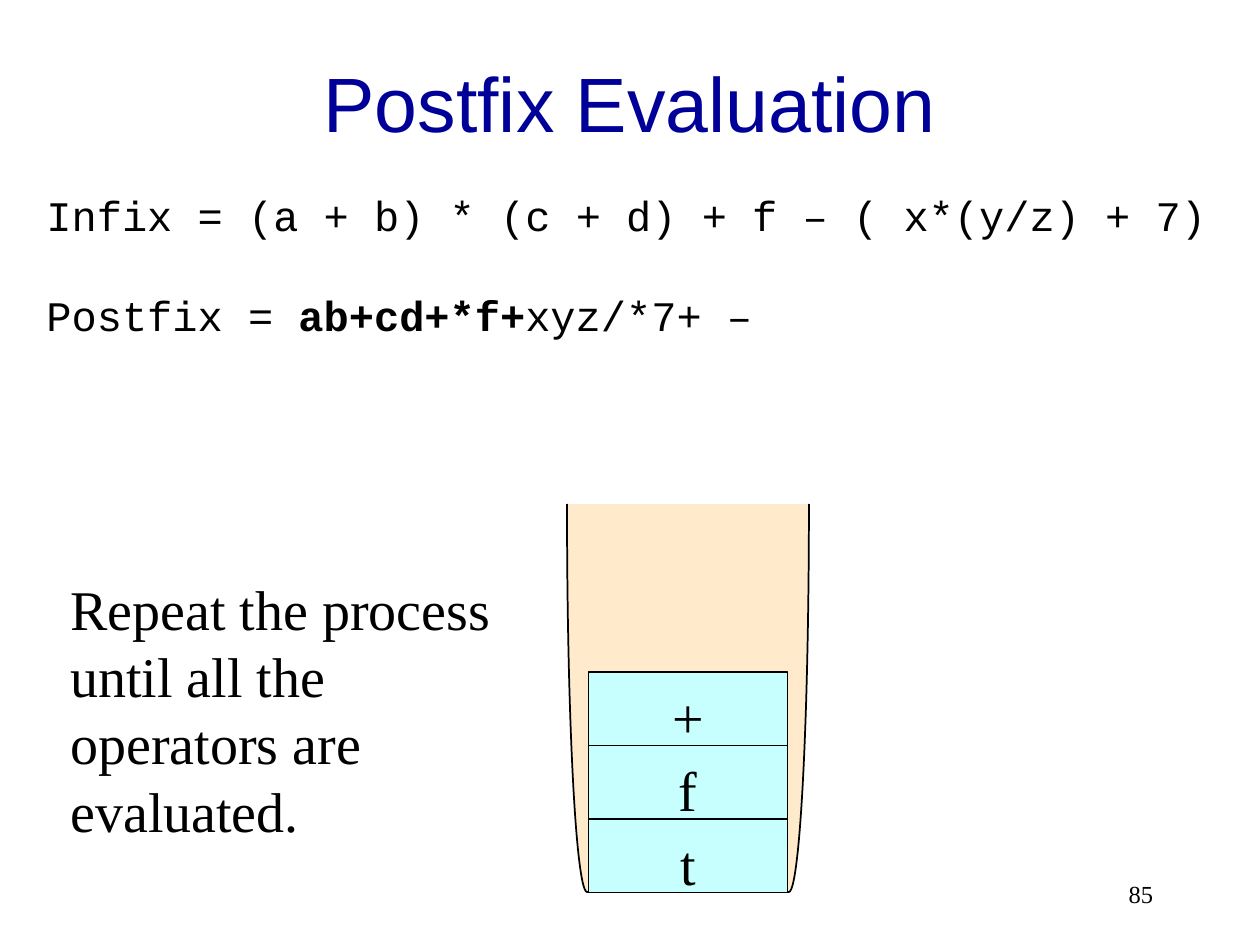
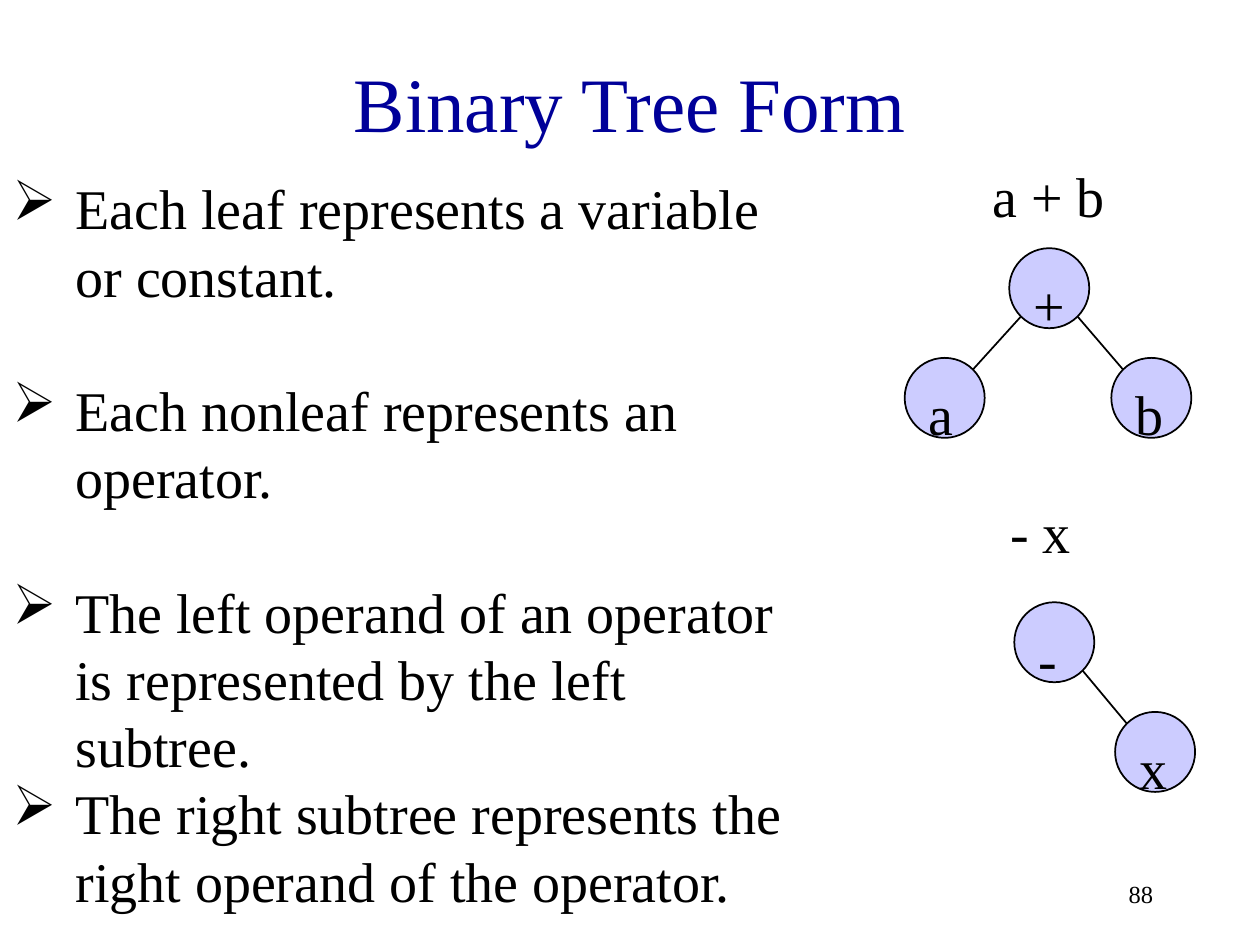
from dataclasses import dataclass
from math import sqrt
from typing import Optional

from lxml.etree import SubElement
from pptx import Presentation
from pptx.dml.color import RGBColor
from pptx.enum.shapes import MSO_CONNECTOR as Link, MSO_SHAPE as Form
from pptx.enum.text import MSO_ANCHOR as Anchor, PP_ALIGN as Align
from pptx.oxml.ns import qn
from pptx.util import Emu, Inches, Pt

# Grid: 100 columns by 75 rows
WIDE, HIGH = Inches(10), Inches(7.5)
COLS, ROWS = 100, 75

# Shared look
INK, NAVY = "000000", "000099"
SAND, AQUA, LILAC = "FFEBCC", "C7FFFF", "CCCCFF"
SERIF, SANS, MONO = "Times New Roman", "Arial", "Courier New"
LEAD = 1.2


@dataclass(frozen=True)
class Box:
    col: float
    row: float
    cols: float
    rows: float

    def place(self) -> tuple:
        return across(self.col), down(self.row), across(self.cols), down(self.rows)


@dataclass(frozen=True)
class Style:
    size: int = 32
    font: str = SERIF
    hue: str = INK
    align: Align = Align.LEFT
    anchor: Anchor = Anchor.TOP


@dataclass(frozen=True)
class Para:
    text: str
    bold: str = ""          # part of the text set in bold
    gap: int = 0            # blank lines' worth of space before
    indent: float = 0       # in columns
    bullet: Optional[str] = None


@dataclass(frozen=True)
class Node:
    text: str
    col: float
    row: float
    kids: tuple = ()


BODY = Style()
ITEM = Style(align=Align.CENTER)
CODE = Style(24, MONO)
FOOT = Style(14, align=Align.RIGHT, anchor=Anchor.MIDDLE)
TITLE = Box(7.5, 1.7, 85, 12.5)
NUMBER = Box(71.7, 68.3, 20.8, 5)


def across(cols: float) -> Emu:
    return Emu(round(WIDE * cols / COLS))


def down(rows: float) -> Emu:
    return Emu(round(HIGH * rows / ROWS))


def tint(code: str) -> RGBColor:
    return RGBColor.from_string(code)


# Text
def write(shape, paras: list, style: Style) -> None:
    frame = shape.text_frame
    frame.word_wrap = True
    frame.vertical_anchor = style.anchor
    frame.margin_left = frame.margin_right = across(1)
    frame.margin_top, frame.margin_bottom = down(0.8), down(0.5)
    frame.text = "\n".join(para.text for para in paras)
    for para, line in zip(paras, frame.paragraphs):
        line.alignment = style.align
        line.line_spacing = Pt(style.size * LEAD)
        line.space_before = Pt(style.size * LEAD * para.gap)
        if para.bold:
            head, tail = para.text.split(para.bold)
            line.text = head
            for part in (para.bold, tail):
                line.add_run().text = part
        for run in line.runs:
            run.font.size, run.font.name = Pt(style.size), style.font
            run.font.color.rgb = tint(style.hue)
            run.font.bold = bool(para.bold) and run.text == para.bold
        props = line._p.get_or_add_pPr()
        props.set("marL", str(across(para.indent)))
        if para.bullet:
            props.set("indent", str(-across(para.indent)))
            SubElement(props, qn("a:buChar")).set("char", para.bullet)


def label(slide, box: Box, paras: list, style: Style = BODY) -> None:
    write(slide.shapes.add_textbox(*box.place()), paras, style)


# Shapes
def draw(slide, form: Form, box: Box, fill: str):
    shape = slide.shapes.add_shape(form, *box.place())
    shape.shadow.inherit = False
    shape.fill.solid()
    shape.fill.fore_color.rgb = tint(fill)
    shape.line.color.rgb = tint(INK)
    shape.line.width = Pt(1)
    return shape


def join(slide, col: float, row: float, to_col: float, to_row: float) -> None:
    line = slide.shapes.add_connector(
        Link.STRAIGHT, across(col), down(row), across(to_col), down(to_row))
    line.line.color.rgb = tint(INK)
    line.line.width = Pt(1)
    SubElement(line._element.spPr, qn("a:effectLst"))


def stack(slide, items: str) -> None:
    cup = draw(slide, Form.LEFT_BRACKET, Box(39.2, 45.8, 30.8, 19.2), SAND)
    cup.rotation = 270
    step, base = 5.83, 70.83
    for level, item in enumerate(items, 1):
        cell = draw(slide, Form.RECTANGLE,
                    Box(46.7, base - step * level, 15.8, step), AQUA)
        write(cell, [Para(item)], ITEM)


def tree(slide, node: Node) -> None:
    size = 6.35
    near = size * (1 - sqrt(0.5)) / 2   # inset of a circle's diagonal point
    far = size - near
    disc = draw(slide, Form.OVAL, Box(node.col, node.row, size, size), LILAC)
    write(disc, [Para(node.text)], BODY)
    for kid in node.kids:
        tree(slide, kid)
        out, back = (near, far) if kid.col < node.col else (far, near)
        join(slide, node.col + out, node.row + far,
             kid.col + back, kid.row + near)


# Slides
def start(deck, title: str, font: str, number: int):
    slide = deck.slides.add_slide(deck.slide_layouts[6])
    head = Style(44, font, NAVY, Align.CENTER, Anchor.MIDDLE)
    label(slide, TITLE, [Para(title)], head)
    label(slide, NUMBER, [Para(str(number))], FOOT)
    return slide


def postfix(deck) -> None:
    slide = start(deck, "Postfix Evaluation", SANS, 85)
    label(slide, Box(2.1, 14.2, 95.8, 13.1), [
        Para("Infix = (a + b) * (c + d) + f – ( x*(y/z) + 7)", indent=0.6),
        Para("Postfix = ab+cd+*f+xyz/*7+ –", "ab+cd+*f+", 1, 0.6),
    ], CODE)
    stack(slide, "tf+")
    label(slide, Box(4.6, 44.8, 37.5, 22.6), [
        Para("Repeat the process"),
        Para("until all the operators are evaluated."),
    ])


def binary(deck) -> None:
    slide = start(deck, "Binary Tree Form", SERIF, 88)
    points = [
        ("Each leaf represents a variable or constant.", 0),
        ("Each nonleaf represents an operator.", 1),
        ("The left operand of an operator is represented by the left subtree.", 1),
        ("The right subtree represents the right operand of the operator.", 0),
    ]
    label(slide, Box(0, 13, 64.2, 60.2),
          [Para(text, gap=gap, indent=5, bullet="➢") for text, gap in points])
    label(slide, Box(77.8, 12, 22, 7.5), [Para("a + b")])
    label(slide, Box(79.2, 38.7, 20, 7.5), [Para("- x")])
    tree(slide, Node("+", 80.1, 19.7,
                     (Node("a", 71.8, 28.4), Node("b", 88.2, 28.4))))
    tree(slide, Node("-", 80.5, 47.8, (Node("x", 88.5, 56.5),)))


def main() -> None:
    deck = Presentation()
    deck.slide_width, deck.slide_height = WIDE, HIGH
    postfix(deck)
    binary(deck)
    deck.save("out.pptx")


if __name__ == "__main__":
    main()
